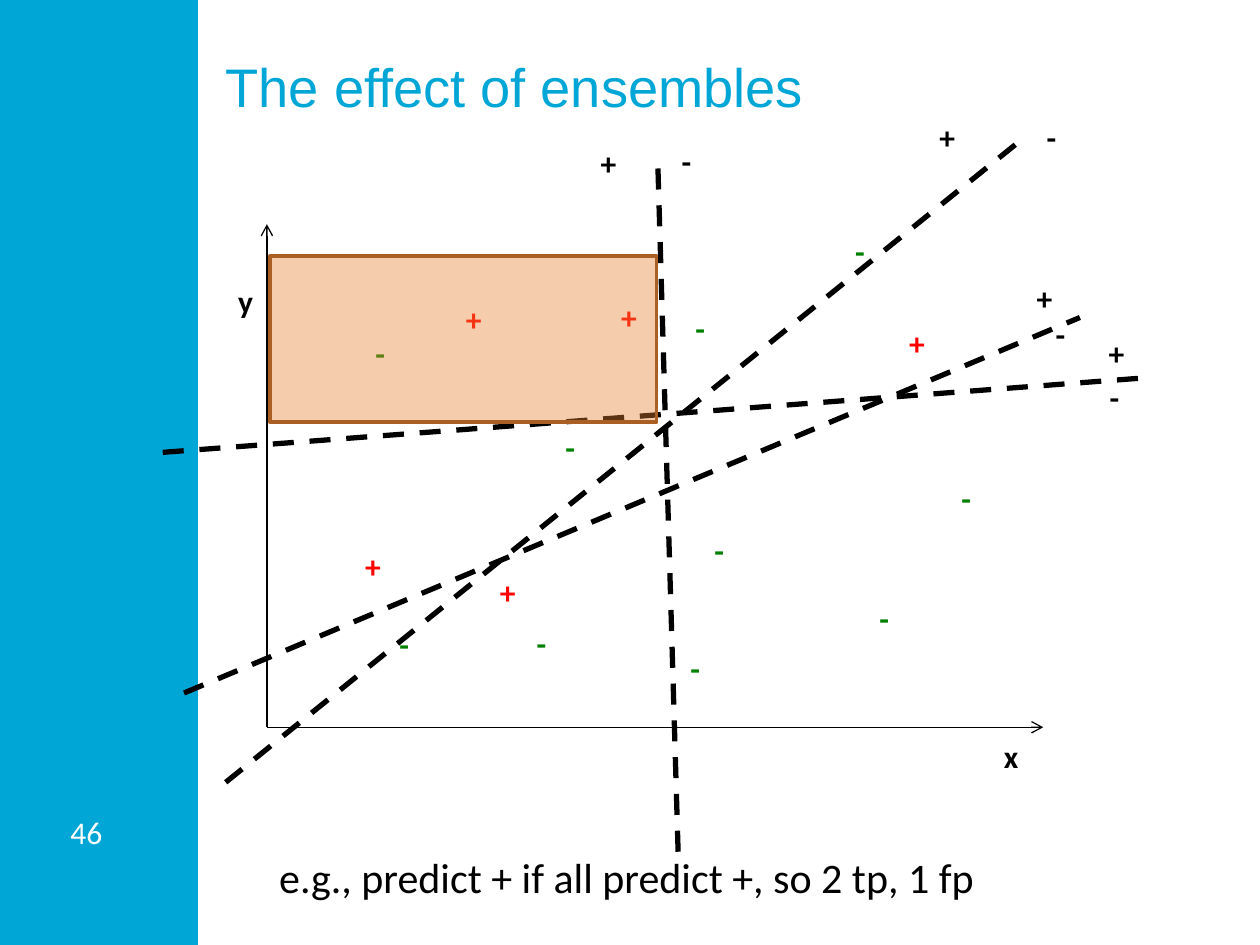
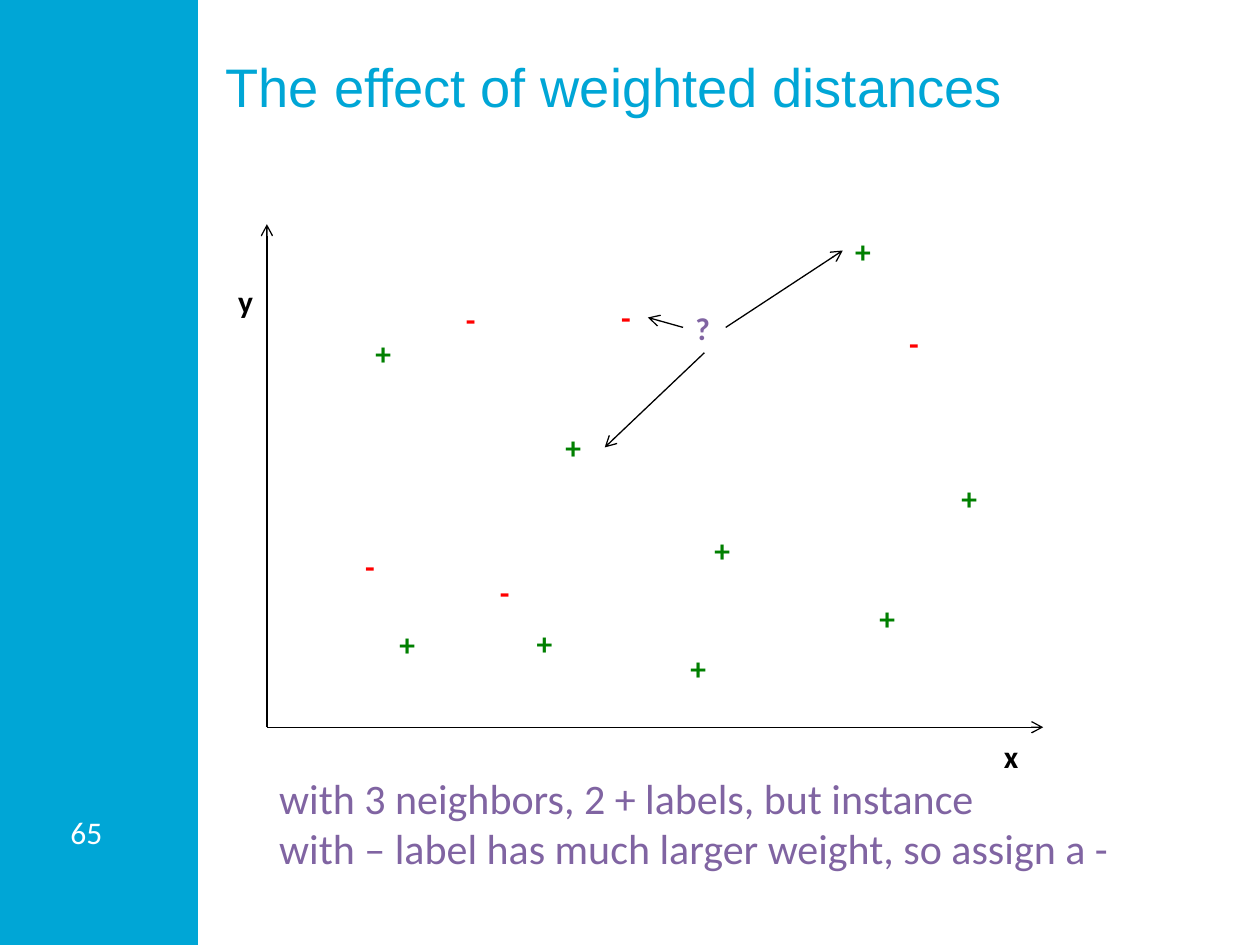
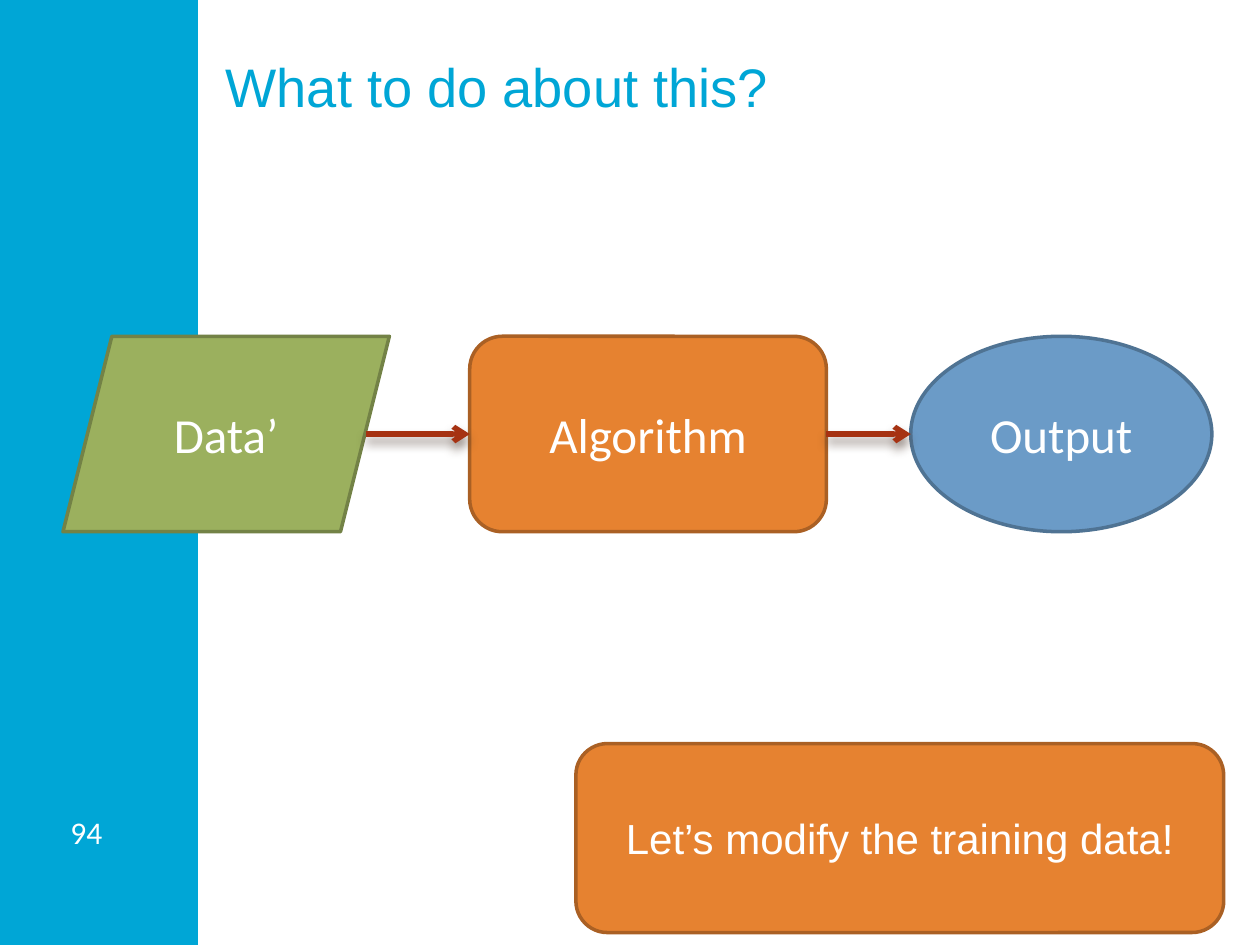
"""Build three slides on classifier ensembles, weighted distances and training data."""
from lxml.etree import SubElement
from pptx import Presentation
from pptx.dml.color import RGBColor as RGB
from pptx.enum.dml import MSO_LINE as Dash
from pptx.enum.shapes import MSO_CONNECTOR as Conn, MSO_SHAPE as Kind
from pptx.enum.text import MSO_ANCHOR as Anchor, MSO_AUTO_SIZE as Fit, PP_ALIGN as Align
from pptx.oxml.ns import qn
from pptx.util import Cm, Pt

CYAN = RGB(0x00, 0xA6, 0xD6)
WHITE = RGB(0xFF, 0xFF, 0xFF)
BLACK = RGB(0x00, 0x00, 0x00)
GREEN = RGB(0x00, 0x80, 0x00)
RED = RGB(0xFF, 0x00, 0x00)
PURPLE = RGB(0x80, 0x64, 0xA2)
ORANGE = RGB(0xE6, 0x82, 0x30)
BROWN = RGB(0xAA, 0x60, 0x24)
OLIVE = RGB(0x9B, 0xB0, 0x5E)
MOSS = RGB(0x73, 0x82, 0x46)
BLUE = RGB(0x6B, 0x9B, 0xC7)
NAVY = RGB(0x4F, 0x73, 0x93)
RUST = RGB(0xA6, 0x32, 0x12)

TITLES = [
    (46, "The effect of ensembles"),
    (65, "The effect of weighted distances"),
    (94, "What to do about this?"),
]
MANY = [(14.15, 10.59), (10.57, 12.45), (7.8, 12.47), (11.15, 8.51), (7.32, 6.6),
        (13.67, 12.95), (17.48, 11.96), (19.13, 9.53), (16.99, 4.55)]
FEW = [(12.27, 5.89), (9.14, 5.92), (7.11, 10.9), (9.83, 11.43), (18.08, 6.4)]
QUERY = (13.77, 6.1)
LEFT, BASE = 5.38, 14.66
ROW, TALL, MID = 6.78, 3.94, 8.75


def write(slide, words, x, y, wide, high=1.02, size=18, color=BLACK, bold=False, face="Calibri"):
    box = slide.shapes.add_textbox(Cm(x), Cm(y), Cm(wide), Cm(high))
    frame = box.text_frame
    frame.text = words
    frame.auto_size = Fit.SHAPE_TO_FIT_TEXT
    for par in frame.paragraphs:
        font = par.font
        font.name, font.size, font.bold = face, Pt(size), bold
        font.color.rgb = color
    return frame


def draw(slide, x1, y1, x2, y2, width=0.75, color=BLACK, arrow=True):
    line = slide.shapes.add_connector(Conn.STRAIGHT, Cm(x1), Cm(y1), Cm(x2), Cm(y2))
    line.line.color.rgb = color
    line.line.width = Pt(width)
    if arrow:
        SubElement(line.line._get_or_add_ln(), qn("a:tailEnd"), type="arrow")
    else:
        line.line.dash_style = Dash.DASH
    return SubElement(line._element.spPr, qn("a:effectLst"))


prs = Presentation()
prs.slide_width, prs.slide_height = Cm(25.4), Cm(19.05)

for page, title in TITLES:
    slide = prs.slides.add_slide(prs.slide_layouts[6])
    band = slide.shapes.add_shape(Kind.RECTANGLE, 0, 0, Cm(3.99), prs.slide_height)
    band.shadow.inherit = False
    band.fill.solid()
    band.fill.fore_color.rgb = CYAN
    band.line.fill.background()
    frame = write(slide, str(page), 1.24, 16.28, 1.37, color=WHITE)
    frame.margin_left = frame.margin_right = Cm(0.18)
    frame.margin_top = frame.margin_bottom = Cm(0.1)
    frame = write(slide, title, 4.55, 0.94, 19.56, 2.95, 31, CYAN, face="Arial")
    frame.auto_size = Fit.NONE
    frame.word_wrap = True
    frame.margin_left = frame.margin_right = frame.margin_bottom = 0
    frame.margin_top = Cm(0.13)

vote, near, flow = prs.slides

for slide, many, few, wide, slim in [(vote, "-", "+", 0.71, 0.94), (near, "+", "-", 1.04, 0.79)]:
    draw(slide, LEFT, BASE, LEFT, 4.52)
    draw(slide, LEFT, BASE, 21.03, BASE)
    write(slide, "y", 4.55, 5.56, 0.89, bold=True)
    write(slide, "x", 19.99, 14.73, 0.91, bold=True)
    for x, y in MANY:
        write(slide, many, x, y, wide, color=GREEN, bold=True)
    for x, y in FEW:
        write(slide, few, x, y, slim, color=RED, bold=True)

write(vote, "-", *QUERY, 0.71, color=GREEN, bold=True)
for ends in [(4.55, 15.77, 20.65, 2.77), (13.67, 17.17, 13.26, 3.28),
             (3.28, 9.12, 23.04, 7.62), (3.71, 13.97, 21.77, 6.4)]:
    draw(vote, *ends, width=3, arrow=False)
for x, y in [(18.69, 2.26), (11.86, 2.77), (20.65, 5.51), (22.1, 6.6)]:
    write(vote, "+", x, y, 0.94, bold=True)
for x, y in [(20.85, 2.26), (13.49, 2.74), (21.03, 6.22), (22.12, 7.49)]:
    write(vote, "-", x, y, 0.71, bold=True)
write(vote, "e.g., predict + if all predict +, so 2 tp, 1 fp", LEFT, 17.05, 15.29, 1.27, 24)
zone = vote.shapes.add_shape(Kind.RECTANGLE, Cm(5.44), Cm(5.16), Cm(7.8), Cm(3.35))
zone.shadow.inherit = False
zone.fill.solid()
zone.fill.fore_color.rgb = ORANGE
tint = zone._element.spPr.find(qn("a:solidFill"))[0]
SubElement(tint, qn("a:alpha"), val="40000")
zone.line.color.rgb = BROWN
zone.line.width = Pt(2)

write(near, "?", *QUERY, 0.86, color=PURPLE, bold=True)
write(near, "with 3 neighbors, 2 + labels, but instance\n"
      "with – label has much larger weight, so assign a -", LEFT, 15.44, 19.3, 2.31, 24, PURPLE)
for ends in [(13.77, 6.6, 13.06, 6.4), (14.2, 7.11, 12.19, 9.02), (14.63, 6.6, 16.99, 5.05)]:
    draw(near, *ends)

for kind, words, x, y, wide, high, fill, edge, size, face in [
    (Kind.ROUNDED_RECTANGLE, "Algorithm", 9.47, ROW, 7.19, TALL, ORANGE, BROWN, 28, "Calibri"),
    (Kind.PARALLELOGRAM, "Data’", 1.27, ROW, 6.58, TALL, OLIVE, MOSS, 28, "Calibri"),
    (Kind.OVAL, "Output", 18.36, ROW, 6.07, TALL, BLUE, NAVY, 28, "Calibri"),
    (Kind.ROUNDED_RECTANGLE, "Let’s modify the training data!", 11.61, 14.99, 13.06, 3.81,
     ORANGE, BROWN, 24, "Arial"),
]:
    step = flow.shapes.add_shape(kind, Cm(x), Cm(y), Cm(wide), Cm(high))
    step.shadow.inherit = False
    step.fill.solid()
    step.fill.fore_color.rgb = fill
    step.line.color.rgb = edge
    step.line.width = Pt(2)
    frame = step.text_frame
    frame.text = words
    frame.vertical_anchor = Anchor.MIDDLE
    par = frame.paragraphs[0]
    par.alignment = Align.CENTER
    par.font.name, par.font.size = face, Pt(size)
    par.font.color.rgb = WHITE

for start, end in [(7.37, 9.47), (16.66, 18.36)]:
    effect = draw(flow, start, MID, end, MID, 3, RUST)
    shade = SubElement(effect, qn("a:outerShdw"), blurRad="76200", dist="50800",
                       dir="5400000", rotWithShape="0")
    tone = SubElement(shade, qn("a:srgbClr"), val="4E3B30")
    SubElement(tone, qn("a:alpha"), val="60000")

prs.save("out.pptx")
